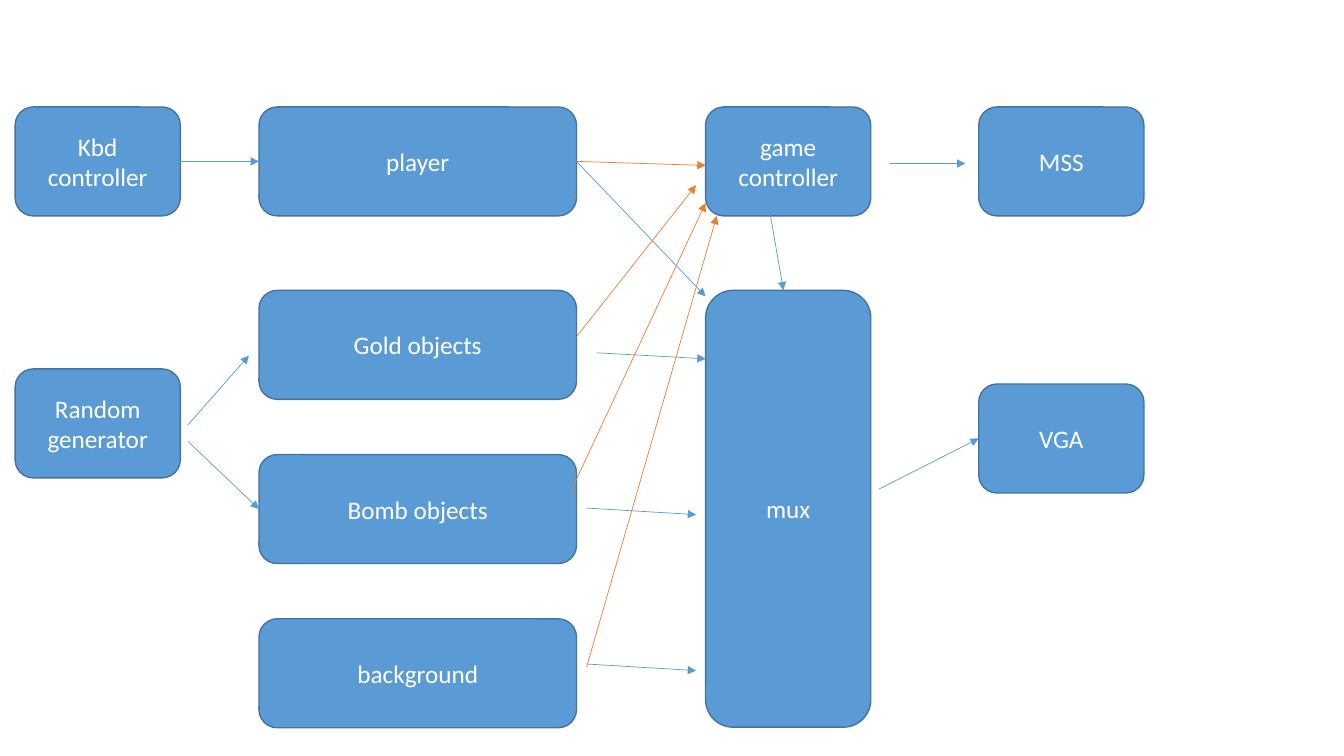
from lxml.etree import SubElement
from pptx import Presentation
from pptx.dml.color import RGBColor as RGB
from pptx.enum.shapes import MSO_CONNECTOR as CONN, MSO_SHAPE as SHAPE
from pptx.enum.text import MSO_ANCHOR as ANCHOR, PP_ALIGN as ALIGN
from pptx.oxml.ns import qn
from pptx.util import Pt

COLORS = {"blue": "5B9BD5", "edge": "43739E", "orange": "ED7D31", "text": "FFFFFF"}
FONT = {"name": "Calibri", "size": Pt(18)}
FRAME = {"word_wrap": True, "vertical_anchor": ANCHOR.MIDDLE}
LEFT, RIGHT = 1, 3

COLS = {"source": (10.8, 118), "object": (185, 226.8), "control": (504, 118), "output": (699.1, 118)}
ROW_H = 77.8
BOXES = [
    ("game controller", "control", 76.4, ROW_H),
    ("player", "object", 76.4, ROW_H),
    ("Gold objects", "object", 207.4, ROW_H),
    ("background", "object", 442, ROW_H),
    ("VGA", "output", 274.3, ROW_H),
    ("MSS", "output", 76.4, ROW_H),
    ("Kbd controller", "source", 76.4, ROW_H),
    ("mux", "control", 207.4, 312),
    ("Bomb objects", "object", 324.7, ROW_H),
    ("Random generator", "source", 263.5, ROW_H),
]
ARROWS = [
    (("player", RIGHT), (504, 211.7), "blue"),
    ((426.2, 252), (504, 256.3), "blue"),
    ((419, 362.9), (497.2, 367.6), "blue"),
    ((419, 474.3), (497.2, 479), "blue"),
    (("player", RIGHT), (504, 118.2), "orange"),
    ((411.8, 240.5), (497.2, 132.3), "orange"),
    ((408.5, 349.4), (504, 145), "orange"),
    ((419, 476.6), (512, 154.2), "orange"),
    ((550.3, 153.7), (559.6, 207.4), "blue"),
    (("Kbd controller", RIGHT), ("player", LEFT), "blue"),
    ((134, 303.8), (177.8, 254), "blue"),
    ((134.4, 315.4), ("Bomb objects", LEFT), "blue"),
    ((635.8, 116.8), (689.6, 116.8), "blue"),
    ((627.8, 349.4), ("VGA", LEFT), "blue"),
]


class Diagram:
    """Draws styled boxes and arrows on one slide."""

    def __init__(self, slide):
        self.s = slide
        self.boxes = {}

    def color(self, name):
        return RGB.from_string(COLORS[name])

    def style(self, obj, values):
        for key, value in values.items():
            setattr(obj, key, value)

    def box(self, text, col, top, height):
        left, width = COLS[col]
        sp = self.s.shapes.add_shape(SHAPE.ROUNDED_RECTANGLE, Pt(left), Pt(top), Pt(width), Pt(height))
        sp.shadow.inherit = False
        sp.fill.solid()
        sp.fill.fore_color.rgb = self.color("blue")
        sp.line.color.rgb = self.color("edge")
        sp.line.width = Pt(1)
        tf = sp.text_frame
        self.style(tf, FRAME)
        p = tf.paragraphs[0]
        p.alignment = ALIGN.CENTER
        r = p.add_run()
        r.text = text
        self.style(r.font, FONT)
        r.font.color.rgb = self.color("text")
        self.boxes[text] = sp

    def arrow(self, start, end, color):
        cn = self.s.shapes.add_connector(CONN.STRAIGHT, 0, 0, 0, 0)
        for (a, b), side, join in ((start, "begin", cn.begin_connect), (end, "end", cn.end_connect)):
            if a in self.boxes:
                join(self.boxes[a], b)
            else:
                self.style(cn, {f"{side}_x": Pt(a), f"{side}_y": Pt(b)})
        cn.line.color.rgb = self.color(color)
        cn.line.width = Pt(0.5)
        SubElement(cn.line._get_or_add_ln(), qn("a:tailEnd"), type="triangle")
        SubElement(cn._element.spPr, qn("a:effectLst"))


def main():
    prs = Presentation()
    prs.slide_width, prs.slide_height = Pt(960), Pt(540)
    d = Diagram(prs.slides.add_slide(prs.slide_layouts[6]))
    for box in BOXES:
        d.box(*box)
    for arrow in ARROWS:
        d.arrow(*arrow)
    prs.save("out.pptx")


if __name__ == "__main__":
    main()
